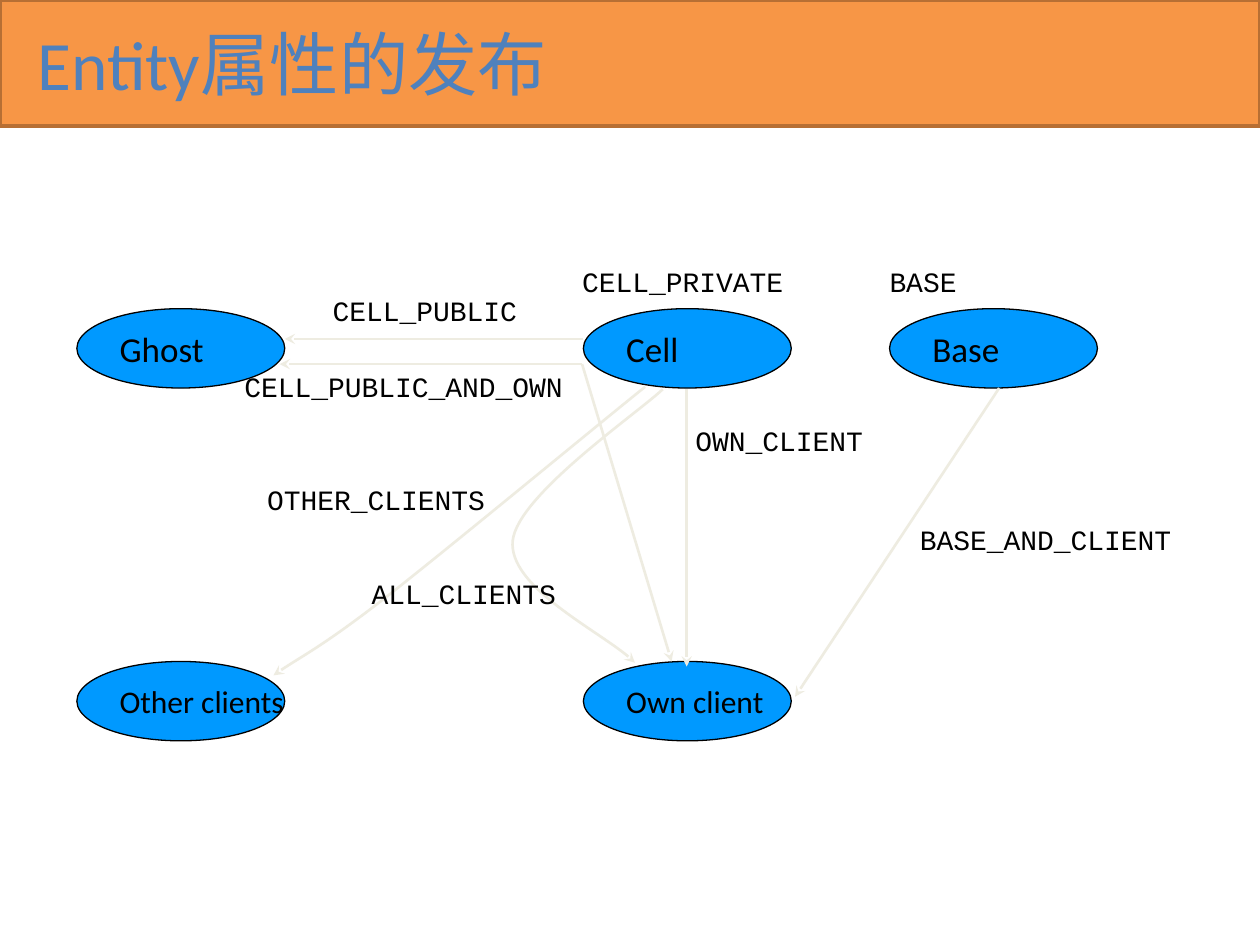
from dataclasses import dataclass

from lxml import etree
from pptx import Presentation
from pptx.dml.color import RGBColor
from pptx.enum.shapes import MSO_CONNECTOR, MSO_SHAPE
from pptx.enum.text import MSO_ANCHOR, PP_ALIGN
from pptx.oxml.ns import qn
from pptx.util import Inches, Pt

STRAIGHT = MSO_CONNECTOR.STRAIGHT
RECTANGLE, OVAL = MSO_SHAPE.RECTANGLE, MSO_SHAPE.OVAL
MIDDLE, TOP = MSO_ANCHOR.MIDDLE, MSO_ANCHOR.TOP
LEFT = PP_ALIGN.LEFT


@dataclass(frozen=True)
class Theme:
    banner: str = "F79646"
    banner_edge: str = "B76F34"
    title: str = "4F81BD"
    node: str = "0099FF"
    ink: str = "000000"
    flow: str = "EEECE1"
    body_font: str = "Calibri"
    code_font: str = "Courier New"
    title_size: float = 39.6
    node_size: float = 20
    client_size: float = 18
    label_size: float = 16
    banner_edge_width: float = 2
    node_edge_width: float = 0.75
    flow_width: float = 1.5


class Diagram:
    def __init__(self, slide, theme):
        self.slide = slide
        self.theme = theme

    def set_text(self, shape, text, font_name, size, color, anchor=TOP, wrap=False, inset=None):
        frame = shape.text_frame
        frame_format = {"word_wrap": wrap, "vertical_anchor": anchor}
        if inset is not None:
            for side in ("left", "top", "right", "bottom"):
                frame_format[f"margin_{side}"] = Inches(inset)
        for name, value in frame_format.items():
            setattr(frame, name, value)
        paragraph = frame.paragraphs[0]
        paragraph.alignment = LEFT
        run = paragraph.add_run()
        run.text = text
        for name, value in {"name": font_name, "size": Pt(size)}.items():
            setattr(run.font, name, value)
        run.font.color.rgb = RGBColor.from_string(color)

    def outline(self, line, color, width):
        line.color.rgb = RGBColor.from_string(color)
        line.width = Pt(width)

    def filled_shape(self, kind, box, fill, edge, edge_width):
        shape = self.slide.shapes.add_shape(kind, *map(Inches, box))
        shape.shadow.inherit = False
        shape.fill.solid()
        shape.fill.fore_color.rgb = RGBColor.from_string(fill)
        self.outline(shape.line, edge, edge_width)
        return shape

    def banner(self, text):
        t = self.theme
        self.filled_shape(RECTANGLE, (0, 0, 10, 1), t.banner, t.banner_edge, t.banner_edge_width)
        title = self.slide.shapes.add_textbox(*map(Inches, (0.2, 0.14, 9.69, 0.71)))
        self.set_text(title, text, t.body_font, t.title_size, t.title, MIDDLE, wrap=True)

    def node(self, text, left, top, size):
        t = self.theme
        oval = self.filled_shape(OVAL, (left, top, 1.65, 0.63), t.node, t.ink, t.node_edge_width)
        self.set_text(oval, text, t.body_font, size, t.ink, MIDDLE)

    def label(self, text, left, top, width):
        t = self.theme
        box = self.slide.shapes.add_textbox(*map(Inches, (left, top, width, 0.27)))
        self.set_text(box, text, t.code_font, t.label_size, t.ink, inset=0)

    def style_flow(self, flow):
        """Apply the flow colour and a stealth arrowhead at the end."""
        self.outline(flow.line, self.theme.flow, self.theme.flow_width)
        line_xml = flow._element.spPr.find(qn("a:ln"))
        etree.SubElement(line_xml, qn("a:tailEnd"), type="stealth")

    def arrow(self, start, end):
        connector = self.slide.shapes.add_connector(STRAIGHT, *map(Inches, start + end))
        self.style_flow(connector)
        etree.SubElement(connector._element.spPr, qn("a:effectLst"))

    def curved_arrow(self, start, *controls_and_ends):
        """Draw Bezier segments, each given as two control points and an end."""
        builder = self.slide.shapes.build_freeform(*map(Inches, start))
        builder.add_line_segments(
            [(Inches(x), Inches(y)) for x, y in controls_and_ends], close=False)
        curve = builder.convert_to_shape()
        steps = list(curve._element.iter(qn("a:lnTo")))
        for first in range(0, len(steps), 3):
            bezier = etree.Element(qn("a:cubicBezTo"))
            steps[first].addprevious(bezier)
            for step in steps[first:first + 3]:
                bezier.append(step[0])
                step.getparent().remove(step)
        curve.shadow.inherit = False
        curve.fill.background()
        self.style_flow(curve)


def main():
    presentation = Presentation()
    presentation.slide_width, presentation.slide_height = Inches(10), Inches(7.5)
    slide = presentation.slides.add_slide(presentation.slide_layouts[6])
    theme = Theme()
    diagram = Diagram(slide, theme)
    diagram.banner("Entity属性的发布")

    ghost_x, cell_x, base_x = 0.61, 4.63, 7.06
    server_y, client_y = 2.45, 5.25
    for name, left in (("Ghost", ghost_x), ("Cell", cell_x), ("Base", base_x)):
        diagram.node(name, left, server_y, theme.node_size)
    for name, left in (("Other clients", ghost_x), ("Own client", cell_x)):
        diagram.node(name, left, client_y, theme.client_size)

    public_and_own = (4.62, 2.89)
    for start, end in (
        ((4.63, 2.69), (2.26, 2.69)),
        (public_and_own, (2.22, 2.89)),
        (public_and_own, (5.33, 5.25)),
        ((5.45, 3.09), (5.45, 5.29)),
        ((7.93, 3.08), (6.31, 5.53)),
    ):
        diagram.arrow(start, end)
    diagram.curved_arrow((5.12, 3.07), (4.77, 3.35), (3.55, 4.36), (3.05, 4.75),
                         (2.56, 5.13), (2.35, 5.23), (2.17, 5.36))
    diagram.curved_arrow((5.26, 3.09), (5.06, 3.28), (4.11, 3.93), (4.07, 4.29),
                         (4.03, 4.65), (4.84, 5.05), (5.04, 5.26))

    for text, left, top, width in (
        ("CELL_PRIVATE", 4.62, 2.1, 1.65),
        ("BASE", base_x, 2.1, 1.65),
        ("CELL_PUBLIC", 2.64, 2.33, 1.61),
        ("CELL_PUBLIC_AND_OWN", 1.94, 2.93, 2.67),
        ("OWN_CLIENT", 5.52, 3.36, 1.34),
        ("OTHER_CLIENTS", 2.12, 3.83, 1.77),
        ("BASE_AND_CLIENT", 7.3, 4.15, 2.01),
        ("ALL_CLIENTS", 2.95, 4.58, 1.49),
    ):
        diagram.label(text, left, top, width)

    presentation.save("out.pptx")


if __name__ == "__main__":
    main()
